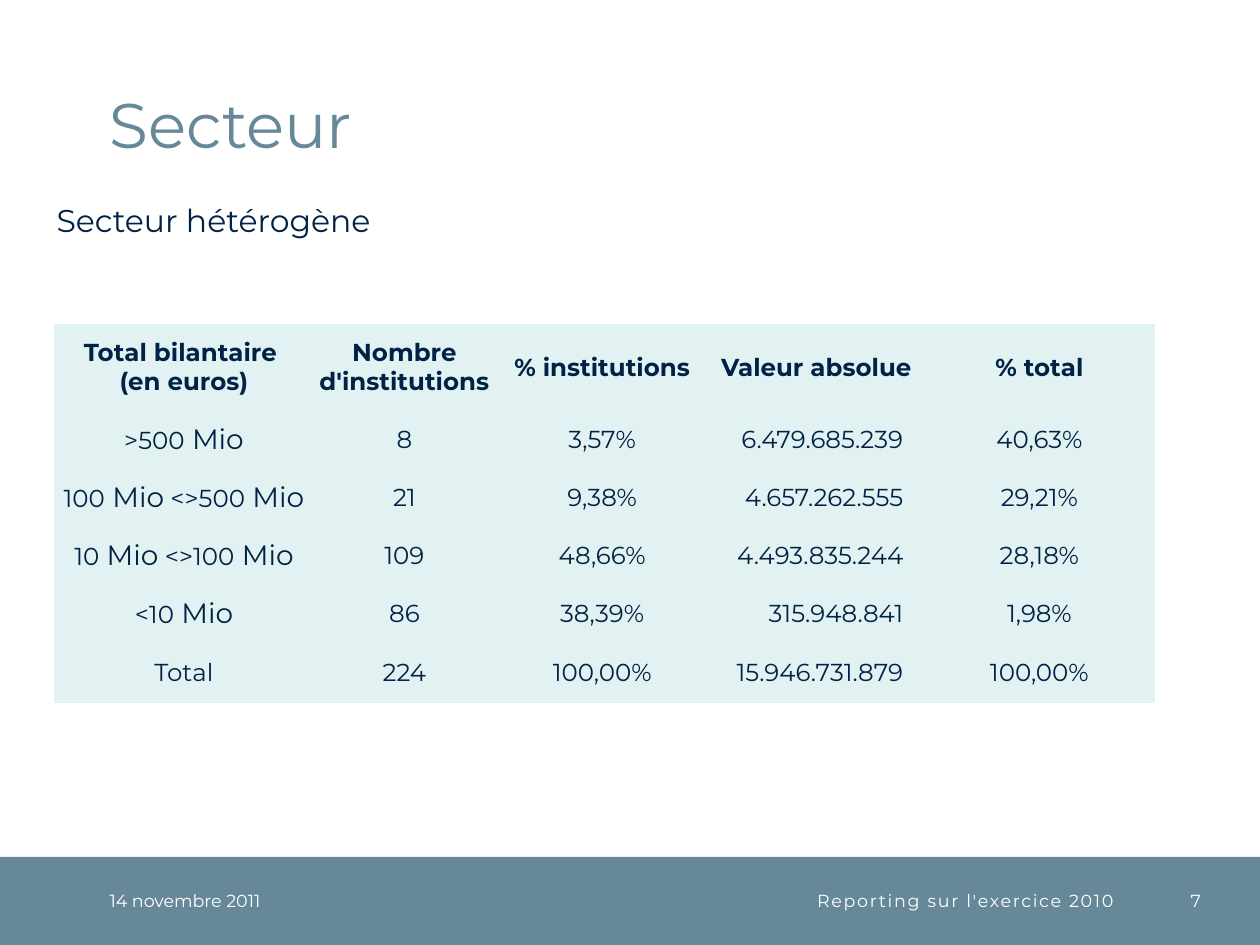
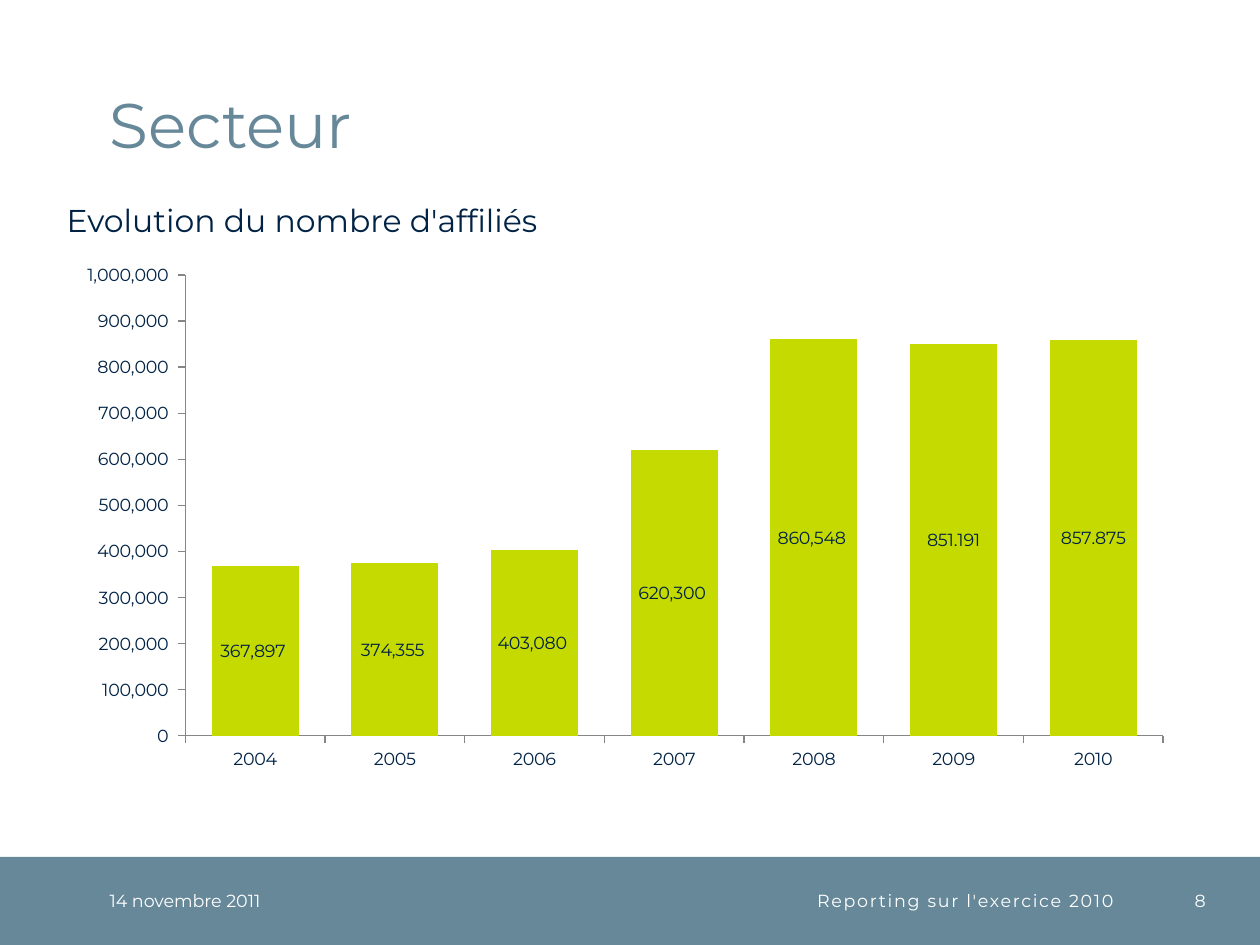
from dataclasses import dataclass

from lxml import etree
from pptx import Presentation
from pptx.chart.data import CategoryChartData
from pptx.dml.color import RGBColor
from pptx.enum.chart import XL_CHART_TYPE as ChartType, XL_LABEL_POSITION as LabelPosition
from pptx.enum.chart import XL_TICK_MARK as TickMark
from pptx.enum.shapes import MSO_SHAPE as Preset
from pptx.enum.text import MSO_ANCHOR as Anchor, PP_ALIGN as Align
from pptx.oxml.ns import qn
from pptx.util import Inches, Pt


@dataclass(frozen=True)
class Theme:
    font: str = "Montserrat"
    slate: str = "668899"
    navy: str = "002244"
    white: str = "FFFFFF"
    pale: str = "E2F2F2"
    lime: str = "C5DA00"
    axis: str = "868686"
    title_size: int = 36
    subtitle_size: int = 18
    unit_size: int = 16
    table_size: int = 14
    small_size: int = 10


THEME = Theme()
BAND_TOP, BAND_HEIGHT = 6.8, 0.7
NUMBER_FORMAT = "#,##0_ ;[Red]\\-#,##0\\ "

COLUMN_WIDTHS = [2.06, 1.44, 1.7, 1.7, 1.84]
ROW_HEIGHTS = [0.69, 0.46, 0.46, 0.46, 0.46, 0.48]
VALUE_COLUMN = 3
HEADERS = ["Total bilantaire \n(en euros)", "Nombre d'institutions",
           "% institutions", "Valeur absolue", "% total"]
SECTOR_ROWS = [
    [">500 Mio", "8", "3,57%", "6.479.685.239", "40,63%"],
    ["100 Mio <>500 Mio", "21", "9,38%", "4.657.262.555", "29,21%"],
    ["10 Mio <>100 Mio", "109", "48,66%", "4.493.835.244", "28,18%"],
    ["<10 Mio", "86", "38,39%", "315.948.841", "1,98%"],
    ["Total", "224", "100,00%", "15.946.731.879", "100,00%"],
]

YEARS = [str(year) for year in range(2004, 2011)]
MEMBERS = [367897, 374355, 403080, 620300, 860548, 851191, 857982]
CUSTOM_LABELS = {5: "851.191", 6: "857.875"}


def style_font(font, size, color, bold=False):
    font.name = THEME.font
    font.size = Pt(size)
    font.bold = bold
    font.color.rgb = RGBColor.from_string(color)


def write_text(frame, text, size=THEME.small_size, color=THEME.white, bold=False,
               align=Align.LEFT, line_spacing=None, tracking=0, unit=None):
    """Fill a text frame; each occurrence of unit is set in the larger unit size."""
    for index, line in enumerate(text.split("\n")):
        paragraph = frame.paragraphs[0] if index == 0 else frame.add_paragraph()
        paragraph.alignment = align
        if line_spacing:
            paragraph.line_spacing = Pt(line_spacing)
        pieces = [(line, size)]
        if unit and unit in line:
            first, *others = line.split(unit)
            pieces = [(first, size)]
            for other in others:
                pieces += [(unit, THEME.unit_size), (other, size)]
        for content, content_size in pieces:
            if not content:
                continue
            run = paragraph.add_run()
            run.text = content
            style_font(run.font, content_size, color, bold)
            if tracking:
                run.font._element.set("spc", str(tracking * 100))


def add_text(slide, text, left, top, width, height, anchor=Anchor.MIDDLE,
             insets=(0, 0), **text_format):
    frame = slide.shapes.add_textbox(
        Inches(left), Inches(top), Inches(width), Inches(height)).text_frame
    frame.word_wrap = True
    frame.vertical_anchor = anchor
    frame.margin_left = frame.margin_right = Inches(insets[0])
    frame.margin_top = frame.margin_bottom = Inches(insets[1])
    write_text(frame, text, **text_format)


def add_slide(presentation, subtitle, subtitle_left, number, number_right):
    """Add a slide with the shared title, subtitle and footer band."""
    slide = presentation.slides.add_slide(presentation.slide_layouts[6])
    band = slide.shapes.add_shape(Preset.RECTANGLE, 0, Inches(BAND_TOP),
                                  presentation.slide_width, Inches(BAND_HEIGHT))
    band.shadow.inherit = False
    band.fill.solid()
    band.fill.fore_color.rgb = RGBColor.from_string(THEME.slate)
    band.line.fill.background()

    add_text(slide, "Secteur", 0.87, 0.2, 8.63, 1.08, anchor=Anchor.BOTTOM,
             size=THEME.title_size, color=THEME.slate, line_spacing=32)
    add_text(slide, subtitle, subtitle_left, 1.55, 8.98, 0.4, anchor=Anchor.TOP,
             insets=(0.1, 0.05), size=THEME.subtitle_size, color=THEME.navy)

    add_text(slide, "14 novembre 2011", 0.87, BAND_TOP, 1.77, BAND_HEIGHT)
    add_text(slide, "Reporting sur l'exercice 2010", 2.64, BAND_TOP, 6.2, BAND_HEIGHT,
             align=Align.RIGHT, tracking=1)
    add_text(slide, number, number_right - 0.5, BAND_TOP, 0.5, BAND_HEIGHT,
             align=Align.RIGHT)
    return slide


def add_sector_table(slide, left, top):
    rows = [HEADERS, *SECTOR_ROWS]
    table = slide.shapes.add_table(
        len(rows), len(HEADERS), Inches(left), Inches(top),
        Inches(sum(COLUMN_WIDTHS)), Inches(sum(ROW_HEIGHTS))).table
    table.first_row = table.horz_banding = False
    for column, width in zip(table.columns, COLUMN_WIDTHS):
        column.width = Inches(width)
    for row, height in zip(table.rows, ROW_HEIGHTS):
        row.height = Inches(height)

    for row_index, row in enumerate(rows):
        is_header = row_index == 0
        for column_index, text in enumerate(row):
            is_value = column_index == VALUE_COLUMN and not is_header
            cell = table.cell(row_index, column_index)
            cell.fill.solid()
            cell.fill.fore_color.rgb = RGBColor.from_string(THEME.pale)
            cell.vertical_anchor = Anchor.MIDDLE
            cell.margin_left = cell.margin_top = cell.margin_bottom = 0
            cell.margin_right = Inches(0.16 if is_value else 0)
            write_text(cell.text_frame, text, size=THEME.table_size,
                       color=THEME.navy, bold=is_header, unit=" Mio",
                       align=Align.RIGHT if is_value else Align.CENTER)
            # Hide the cell borders that come with the table style
            properties = cell._tc.get_or_add_tcPr()
            for index, side in enumerate(("lnL", "lnR", "lnT", "lnB")):
                border = etree.Element(qn(f"a:{side}"), w="0")
                etree.SubElement(border, qn("a:noFill"))
                properties.insert(index, border)


def set_plot_layout(chart, **fractions):
    """Place the inner plot area by fractions of the chart frame."""
    plot_area = chart._chartSpace.chart.plotArea
    for old_layout in plot_area.findall(qn("c:layout")):
        plot_area.remove(old_layout)
    layout = etree.Element(qn("c:layout"))
    manual = etree.SubElement(layout, qn("c:manualLayout"))
    settings = {"layoutTarget": "inner", "xMode": "edge", "yMode": "edge", **fractions}
    for name, value in settings.items():
        etree.SubElement(manual, qn(f"c:{name}"), val=str(value))
    plot_area.insert(0, layout)


def add_members_chart(slide, left, top, width, height):
    data = CategoryChartData(number_format=NUMBER_FORMAT)
    data.categories = YEARS
    data.add_series("Series 1", MEMBERS)
    chart = slide.shapes.add_chart(
        ChartType.COLUMN_STACKED, Inches(left), Inches(top),
        Inches(width), Inches(height), data).chart
    chart.has_legend = chart.has_title = False
    style_font(chart.font, THEME.small_size, THEME.navy)
    set_plot_layout(chart, x=0.108, y=0.039, w=0.872, h=0.877)

    # Axes
    for axis in (chart.category_axis, chart.value_axis):
        axis.has_major_gridlines = False
        axis.major_tick_mark = TickMark.OUTSIDE
        axis.minor_tick_mark = TickMark.NONE
        axis.format.line.width = Pt(0.75)
        axis.format.line.color.rgb = RGBColor.from_string(THEME.axis)
    chart.value_axis.minimum_scale = 0
    chart.value_axis.maximum_scale = 1000000
    chart.value_axis.major_unit = 100000
    chart.value_axis.tick_labels.number_format = NUMBER_FORMAT
    chart.value_axis.tick_labels.number_format_is_linked = False

    # Columns and their labels
    plot = chart.plots[0]
    plot.vary_by_categories = False
    plot.gap_width, plot.overlap = 61, 100
    series = plot.series[0]
    series.format.fill.solid()
    series.format.fill.fore_color.rgb = RGBColor.from_string(THEME.lime)
    labels = series.data_labels
    labels.show_value = True
    labels.position = LabelPosition.CENTER
    labels.number_format = NUMBER_FORMAT
    labels.number_format_is_linked = False
    style_font(labels.font, THEME.small_size, THEME.navy)
    for index, text in CUSTOM_LABELS.items():
        label = series.points[index].data_label
        write_text(label.text_frame, text, color=THEME.navy, align=Align.CENTER)
        label.position = LabelPosition.CENTER


def main():
    presentation = Presentation()
    presentation.slide_width, presentation.slide_height = Inches(10), Inches(7.5)

    # Breakdown of the sector by balance sheet total
    slide = add_slide(presentation, "Secteur hétérogène", 0.35, "7", 9.53)
    add_sector_table(slide, 0.43, 2.57)

    # Number of members per year
    slide = add_slide(presentation, "Evolution du nombre d'affiliés", 0.43, "8", 9.57)
    add_members_chart(slide, 0.51, 2.02, 8.9, 4.17)

    presentation.save("out.pptx")


if __name__ == "__main__":
    main()
